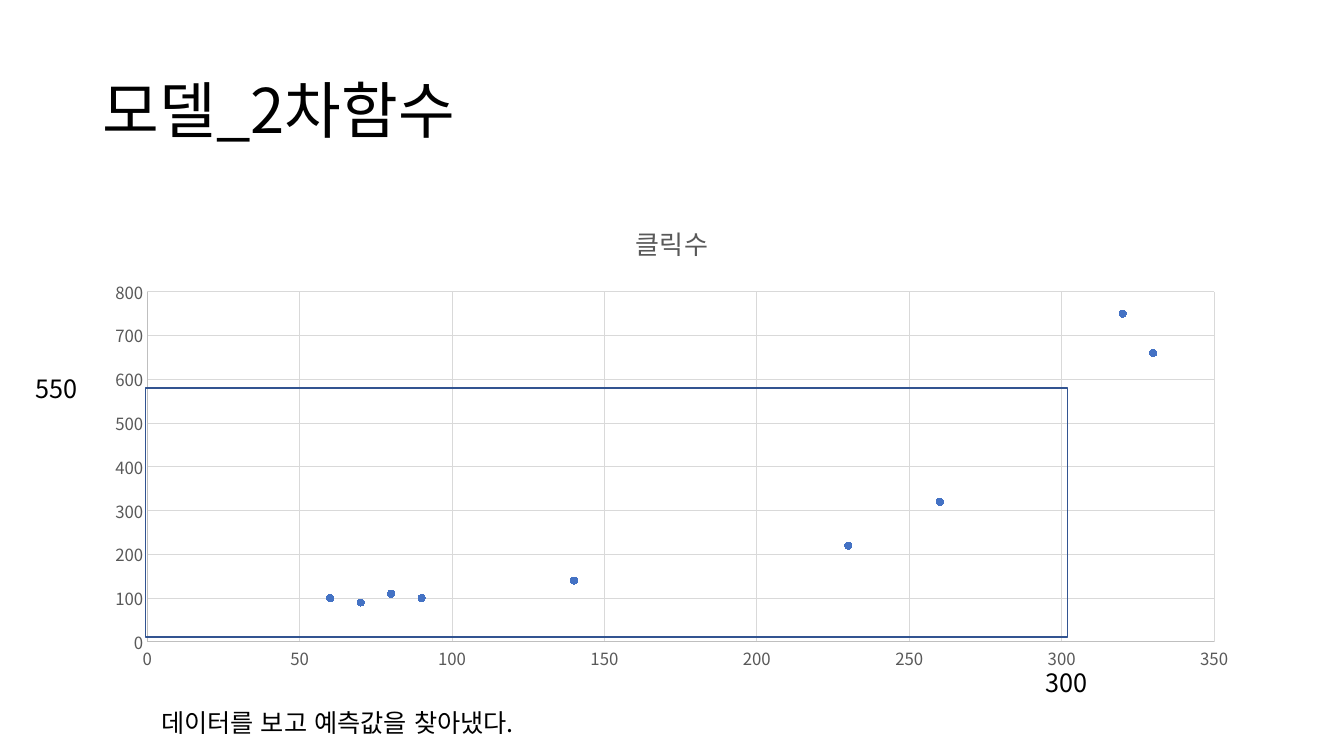
"""Build a slide with a scatter chart of clicks and a framed prediction at 300, 550."""
from lxml.etree import SubElement
from pptx import Presentation
from pptx.chart.data import XyChartData
from pptx.dml.color import RGBColor
from pptx.enum.chart import XL_CHART_TYPE as ChartKind, XL_MARKER_STYLE as Marker, XL_TICK_MARK as Tick
from pptx.enum.lang import MSO_LANGUAGE_ID as Language
from pptx.enum.shapes import MSO_SHAPE as Preset
from pptx.enum.text import MSO_ANCHOR as Anchor
from pptx.oxml import parse_xml
from pptx.oxml.ns import nsdecls, qn
from pptx.util import Inches, Pt

FONT = "Noto Sans CJK KR"


def color(code):
    return RGBColor.from_string(code)


def write(frame, text, size=18, ink="000000", anchor=Anchor.TOP, spacing=1.0):
    frame.word_wrap = True
    frame.vertical_anchor = anchor
    paragraph = frame.paragraphs[0]
    paragraph.line_spacing = spacing
    run = paragraph.add_run()
    run.text = text
    run.font.size = Pt(size)
    run.font.bold = False
    run.font.language_id = Language.KOREAN
    run.font.color.rgb = color(ink)
    run.font.name = FONT
    SubElement(run.font._element, qn("a:ea"), typeface=FONT)


deck = Presentation()
W = deck.slide_width = Inches(13.33)
H = deck.slide_height = Inches(7.5)
slide = deck.slides.add_slide(deck.slide_layouts[6])
shapes = slide.shapes
margin = 0.92 / 13.33
content = 1 - 2 * margin

heading = shapes.add_textbox(int(W * margin), int(H * 0.4 / 7.5), int(W * content), int(H * 1.45 / 7.5))
write(heading.text_frame, "모델_2차함수", size=44, anchor=Anchor.MIDDLE, spacing=0.9)

data = XyChartData()
clicks = data.add_series("클릭수")
for x, y in [(60, 100), (70, 90), (80, 110), (90, 100), (140, 140), (230, 220), (260, 320), (320, 750), (330, 660)]:
    clicks.add_data_point(x, y)
chart = shapes.add_chart(
    ChartKind.XY_SCATTER, int(W * margin), int(H * 2 / 7.5), int(W * content), int(H * 4.76 / 7.5), data
).chart
chart.has_legend = False
chart.font.name = FONT
chart.font.size = Pt(10)
chart.has_title = True
write(chart.chart_title.text_frame, "클릭수", size=18.6, ink="595959")
chart.chart_title.include_in_layout = False

for axis, top, step in [(chart.category_axis, 350, 50), (chart.value_axis, 800, 100)]:
    axis.minimum_scale, axis.maximum_scale, axis.major_unit = 0, top, step
    axis.major_tick_mark = axis.minor_tick_mark = Tick.NONE
    axis.has_major_gridlines = True
    for line, shade in [(axis.format.line, "BFBFBF"), (axis.major_gridlines.format.line, "D9D9D9")]:
        line.color.rgb = color(shade)
        line.width = Pt(0.75)
    labels = axis.tick_labels.font
    labels.name, labels.size = FONT, Pt(12)
    labels.color.rgb = color("595959")

plot_area = chart._chartSpace.chart.plotArea
for layout in plot_area.findall(qn("c:layout")):
    plot_area.remove(layout)
plot_area.insert(0, parse_xml(
    f'<c:layout {nsdecls("c")}><c:manualLayout><c:layoutTarget val="inner"/>'
    '<c:xMode val="edge"/><c:yMode val="edge"/><c:x val="0.047"/><c:y val="0.188"/>'
    '<c:w val="0.921"/><c:h val="0.73"/></c:manualLayout></c:layout>'
))

chart.plots[0].vary_by_categories = False
points = chart.plots[0].series[0]
points.smooth = False
points.format.line.fill.background()
points.marker.style, points.marker.size = Marker.CIRCLE, 5
points.marker.format.fill.solid()
points.marker.format.fill.fore_color.rgb = color("4472C4")
points.marker.format.line.color.rgb = color("4472C4")

prediction = shapes.add_shape(
    Preset.RECTANGLE, int(W * 1.44 / 13.33), int(H * 3.85 / 7.5), int(W * 9.15 / 13.33), int(H * 2.47 / 7.5)
)
prediction.shadow.inherit = False
prediction.fill.background()
prediction.line.color.rgb = color("325491")
prediction.line.width = Pt(1)

for text, left, top, width in [
    ("300", 10.27, 6.57, 0.93),
    ("550", 0.25, 3.65, 0.93),
    ("데이터를 보고 예측값을 찾아냈다.", 1.5, 6.97, 10.29),
]:
    note = shapes.add_textbox(int(W * left / 13.33), int(H * top / 7.5), int(W * width / 13.33), int(H * 0.4 / 7.5))
    write(note.text_frame, text)

deck.save("out.pptx")
